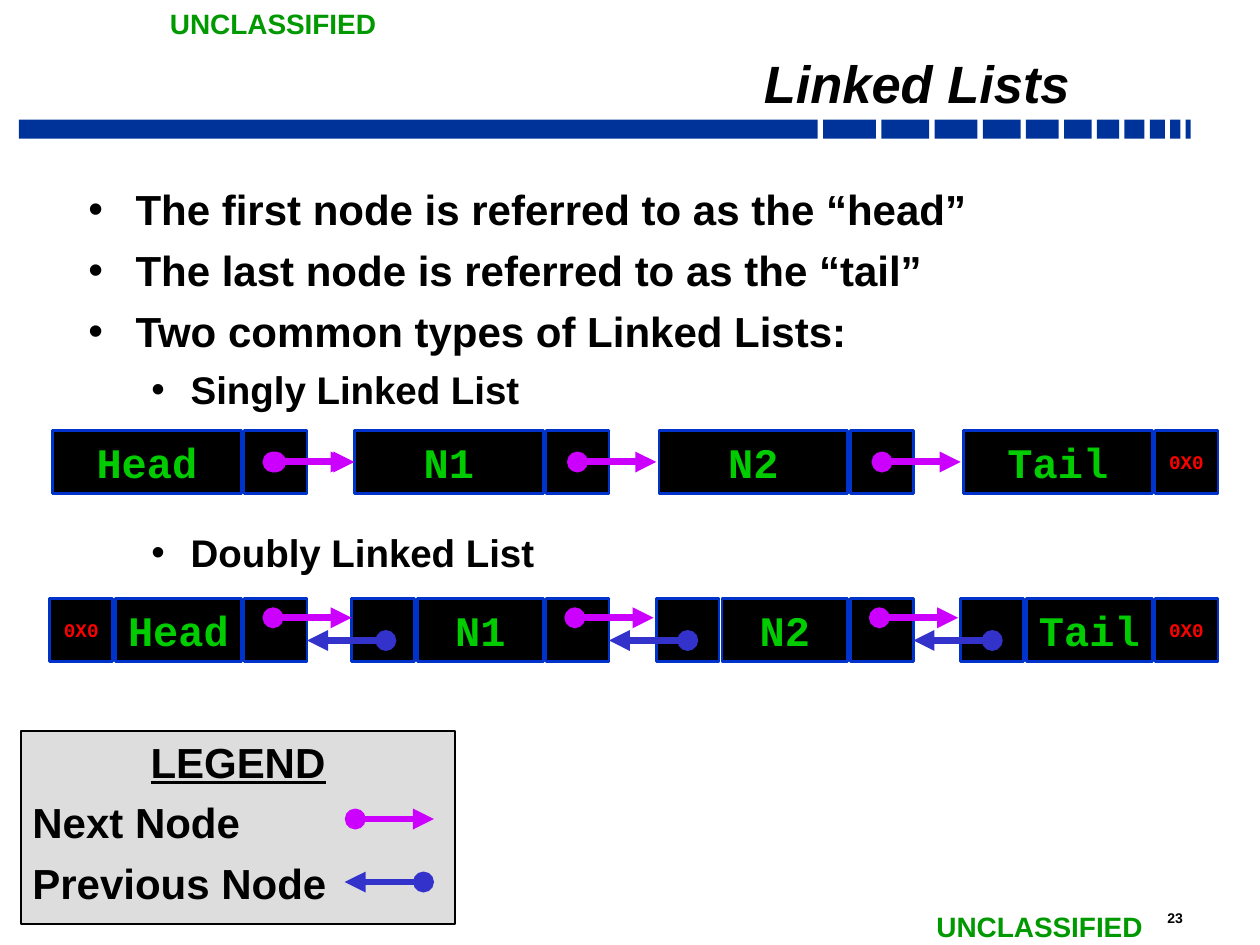
from lxml.etree import SubElement
from pptx import Presentation
from pptx.dml.color import RGBColor
from pptx.enum.shapes import MSO_CONNECTOR, MSO_SHAPE
from pptx.enum.text import MSO_ANCHOR, PP_ALIGN
from pptx.oxml.ns import qn
from pptx.util import Pt


def color(value):
    return RGBColor.from_string(value)


class SlideWriter:
    font = "Arial"
    code_font = "Courier New"
    black = "000000"
    cell_line = "0033CC"
    next_color = "CC00FF"
    previous_color = "3333CC"
    cell = 36
    gap = 1.5

    def __init__(self, page):
        self.page = page

    def run(self, para, text, size, fill=black, font=font):
        span = para.add_run()
        span.text = text
        span.font.size = Pt(size)
        span.font.name = font
        span.font.bold = True
        span.font.color.rgb = color(fill)
        return span

    def frame(self, box, side=6.5, edge=3, wrap=True, anchor=MSO_ANCHOR.TOP):
        frame = box.text_frame
        frame.margin_left = frame.margin_right = Pt(side)
        frame.margin_top = frame.margin_bottom = Pt(edge)
        frame.word_wrap = wrap
        frame.vertical_anchor = anchor
        return frame

    def title(self, text, left, top, width, height):
        box = self.page.shapes.title
        box.left, box.top, box.width, box.height = map(Pt, (left, top, width, height))
        para = self.frame(box, anchor=MSO_ANCHOR.BOTTOM).paragraphs[0]
        para.alignment = PP_ALIGN.RIGHT
        para.line_spacing = 0.7
        self.run(para, text, 30).font.italic = True

    def label(self, text, left, top, width, height, size, fill, wrap=False):
        box = self.page.shapes.add_textbox(Pt(left), Pt(top), Pt(width), Pt(height))
        para = self.frame(box, 7.2, 3.6, wrap).paragraphs[0]
        self.run(para, text, size, fill)

    def bullets(self, items, left, top, width, height):
        box = self.page.shapes.add_textbox(Pt(left), Pt(top), Pt(width), Pt(height))
        frame = self.frame(box)
        for index, (text, level, before) in enumerate(items):
            para = frame.paragraphs[0] if index == 0 else frame.add_paragraph()
            para.level = level
            para.space_before = Pt(before)
            indent, hanging, size = ((27, 27, 24), (58.5, 22.5, 22))[level]
            properties = para._p.get_or_add_pPr()
            properties.set("marL", str(Pt(indent)))
            properties.set("indent", str(-Pt(hanging)))
            SubElement(properties, qn("a:buFont")).set("typeface", self.font)
            SubElement(properties, qn("a:buChar")).set("char", "•")
            self.run(para, text, size)

    def rectangle(self, left, top, width, height, fill, line=None, weight=1.5):
        box = self.page.shapes.add_shape(
            MSO_SHAPE.RECTANGLE, Pt(left), Pt(top), Pt(width), Pt(height))
        box.shadow.inherit = False
        box.fill.solid()
        box.fill.fore_color.rgb = color(fill)
        if line:
            box.line.color.rgb = color(line)
            box.line.width = Pt(weight)
        else:
            box.line.fill.background()
        return box

    def node_cell(self, left, top, width, text="", size=24, fill="00CC00"):
        box = self.rectangle(left, top, width, self.cell, self.black, self.cell_line)
        if text:
            frame = self.frame(box, 7.2, 3.6, False, MSO_ANCHOR.MIDDLE)
            frame.paragraphs[0].alignment = PP_ALIGN.CENTER
            self.run(frame.paragraphs[0], text, size, fill, self.code_font)

    def null_cell(self, left, top):
        self.node_cell(left, top, self.cell, "0X0", 11, "FF0000")

    def arrow(self, left, y, stroke, head, tail):
        line = self.page.shapes.add_connector(
            MSO_CONNECTOR.STRAIGHT, Pt(left), Pt(y), Pt(left + 45), Pt(y))
        line.line.color.rgb = color(stroke)
        line.line.width = Pt(4)
        outline = line.line._get_or_add_ln()
        SubElement(outline, qn("a:headEnd")).set("type", head)
        SubElement(outline, qn("a:tailEnd")).set("type", tail)
        SubElement(line._element.spPr, qn("a:effectLst"))

    def next_arrow(self, left, y):
        self.arrow(left, y, self.next_color, "oval", "triangle")

    def previous_arrow(self, left, y):
        self.arrow(left, y, self.previous_color, "triangle", "oval")

    def stripe(self, left, top, height, widths, gap):
        for width in widths:
            self.rectangle(left, top, width, height, "003399")
            left += width + gap

    def linked_list(self, names, pointers, top, doubly):
        data_width = 72 if doubly else 108
        last = len(names) - 1
        for index, (name, pointer) in enumerate(zip(names, pointers)):
            data_left = pointer - self.gap - data_width
            self.node_cell(data_left, top, data_width, name)
            if index == last:
                self.null_cell(pointer, top)
            else:
                self.node_cell(pointer, top, self.cell)
            if doubly:
                previous_left = data_left - self.gap - self.cell
                if index == 0:
                    self.null_cell(previous_left, top)
                else:
                    self.node_cell(previous_left, top, self.cell)
        for pointer in pointers[:-1]:
            if doubly:
                self.next_arrow(pointer + 16.5, top + 11)
                self.previous_arrow(pointer + self.cell, top + 24)
            else:
                self.next_arrow(pointer + 18, top + 18)

    def legend(self, left, top, width, height):
        box = self.rectangle(left, top, width, height, "DDDDDD", self.black, 1)
        frame = self.frame(box)
        for index, text in enumerate(("LEGEND", "Next Node", "Previous Node")):
            para = frame.paragraphs[0] if index == 0 else frame.add_paragraph()
            para.alignment = PP_ALIGN.LEFT if index else PP_ALIGN.CENTER
            para.space_before = Pt(6 if index else 2.5)
            span = self.run(para, text, 24)
            span.font.underline = index == 0
        self.next_arrow(left + 191, top + 50.4)
        self.previous_arrow(left + 185, top + 86.4)


def main():
    deck = Presentation()
    deck.slide_width, deck.slide_height = Pt(720), Pt(540)
    writer = SlideWriter(deck.slides.add_slide(deck.slide_layouts[5]))

    widths = (456.5, 30.2, 27.4, 24.5, 21.6, 18.7, 15.8, 12.6, 11.5, 8.6, 5.8, 2.9)
    writer.stripe(10.8, 68.4, 10.8, widths, 3.05)
    writer.label("23", 660, 516, 39, 16.5, 8, "000000", True)
    for left, top in ((90, 0), (528, 516)):
        writer.label("UNCLASSIFIED", left, top, 134, 26.5, 16, "009900")
    writer.bullets((
        ("The first node is referred to as the “head”", 0, 2.5),
        ("The last node is referred to as the “tail”", 0, 6),
        ("Two common types of Linked Lists:", 0, 6),
        ("Singly Linked List", 1, 5.5),
        ("Doubly Linked List", 1, 67),
    ), 44, 102, 653, 372)
    writer.title("Linked Lists", 120, 25, 498, 42.5)

    names = ("Head", "N1", "N2", "Tail")
    pointers = (139.5, 312, 486, 660)
    writer.linked_list(names, pointers, 246, False)
    writer.next_arrow(156, 264)
    writer.linked_list(names, pointers, 342, True)
    writer.legend(12, 417.6, 248, 110.4)
    deck.save("out.pptx")


if __name__ == "__main__":
    main()
